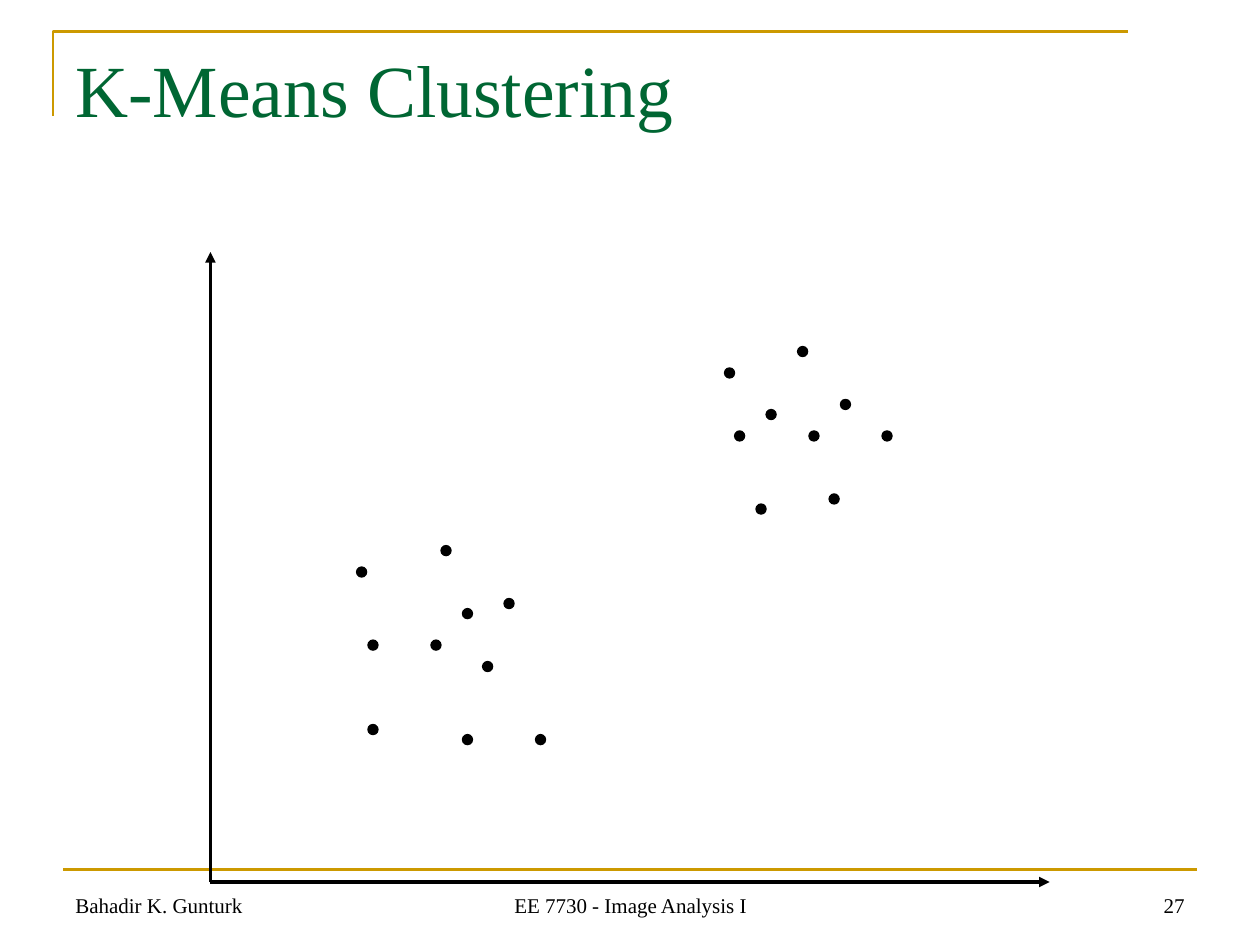
import pptx
import pptx.util
import pptx.dml.color
import pptx.enum.shapes
import pptx.enum.text
import pptx.oxml
import pptx.oxml.ns

Inches = pptx.util.Inches
Align = pptx.enum.text.PP_ALIGN
Anchor = pptx.enum.text.MSO_ANCHOR

BLACK = pptx.dml.color.RGBColor(0x00, 0x00, 0x00)
GOLD = pptx.dml.color.RGBColor(0xCC, 0x99, 0x00)
GREEN = pptx.dml.color.RGBColor(0x00, 0x66, 0x33)
FONT = "Times New Roman"

DOT_SIZE = 0.08
AXIS_ORIGIN = (1.67, 7)
AXIS_ENDS = [(8.33, 7), (1.67, 2)]
# Left and top of each dot, in inches
UPPER_CLUSTER = [
    (5.75, 2.92), (5.83, 3.42), (6.08, 3.25), (6.33, 2.75), (6.67, 3.17),
    (6.42, 3.42), (6, 4), (6.58, 3.92), (7, 3.42),
]
LOWER_CLUSTER = [
    (3.5, 4.33), (4, 4.75), (3.83, 5.25), (3.67, 4.83), (2.83, 4.5),
    (2.92, 5.08), (3.42, 5.08), (3.67, 5.83), (2.92, 5.75), (4.25, 5.83),
]
FOOTERS = [
    ("EE 7730 - Image Analysis I", 3.42, 3.17, Align.CENTER),
    ("27", 7.17, 2.33, Align.RIGHT),
    ("Bahadir K. Gunturk", 0.5, 2.33, Align.LEFT),
]


def set_attributes(target, values):
    for name, value in values.items():
        setattr(target, name, value)


def style_line(line, color, width):
    line.color.rgb = color
    line.width = pptx.util.Pt(width)


def add_line(slide, start, end, color, width, arrow=False):
    ends = [Inches(value) for value in (*start, *end)]
    connector = slide.shapes.add_connector(
        pptx.enum.shapes.MSO_CONNECTOR.STRAIGHT, *ends)
    style_line(connector.line, color, width)
    if arrow:
        tail = pptx.oxml.parse_xml(
            f'<a:tailEnd {pptx.oxml.ns.nsdecls("a")} type="triangle"/>')
        connector.line._get_or_add_ln().append(tail)
    properties = connector._element.spPr
    properties.append(pptx.oxml.parse_xml(
        f'<a:effectLst {pptx.oxml.ns.nsdecls("a")}/>'))


def add_title_corner(slide):
    builder = slide.shapes.build_freeform(
        Inches(0.42), Inches(0.92), scale=1.0)
    corner = [(0.42, 0.25), (8.95, 0.25)]
    builder.add_line_segments(
        [(Inches(x), Inches(y)) for x, y in corner], close=False)
    shape = builder.convert_to_shape()
    shape.shadow.inherit = False
    shape.fill.background()
    style_line(shape.line, GOLD, 1.5)


def add_dot(slide, left, top):
    shape = slide.shapes.add_shape(
        pptx.enum.shapes.MSO_SHAPE.OVAL, Inches(left), Inches(top),
        Inches(DOT_SIZE), Inches(DOT_SIZE))
    shape.shadow.inherit = False
    shape.fill.solid()
    shape.fill.fore_color.rgb = BLACK
    style_line(shape.line, BLACK, 0.75)


def add_text(slide, text, box, size, color, alignment, anchor):
    shape = slide.shapes.add_textbox(*[Inches(value) for value in box])
    set_attributes(shape.text_frame,
                   {"word_wrap": True, "vertical_anchor": anchor})
    paragraph = shape.text_frame.paragraphs[0]
    paragraph.alignment = alignment
    run = paragraph.add_run()
    run.text = text
    set_attributes(run.font, {"name": FONT, "size": pptx.util.Pt(size)})
    run.font.color.rgb = color


def main():
    presentation = pptx.Presentation()
    set_attributes(presentation, {"slide_width": Inches(10),
                                  "slide_height": Inches(7.5)})
    slide = presentation.slides.add_slide(presentation.slide_layouts[6])

    add_title_corner(slide)
    add_line(slide, (0.5, 6.9), (9.5, 6.9), GOLD, 1.5)
    for end in AXIS_ENDS:
        add_line(slide, AXIS_ORIGIN, end, BLACK, 2, arrow=True)
    for left, top in UPPER_CLUSTER + LOWER_CLUSTER:
        add_dot(slide, left, top)

    add_text(slide, "K-Means Clustering", (0.5, 0.3, 9, 1.25), 42, GREEN,
             Align.LEFT, Anchor.TOP)
    for text, left, width, alignment in FOOTERS:
        add_text(slide, text, (left, 6.83, width, 0.5), 12, BLACK,
                 alignment, Anchor.BOTTOM)

    presentation.save("out.pptx")


if __name__ == "__main__":
    main()
